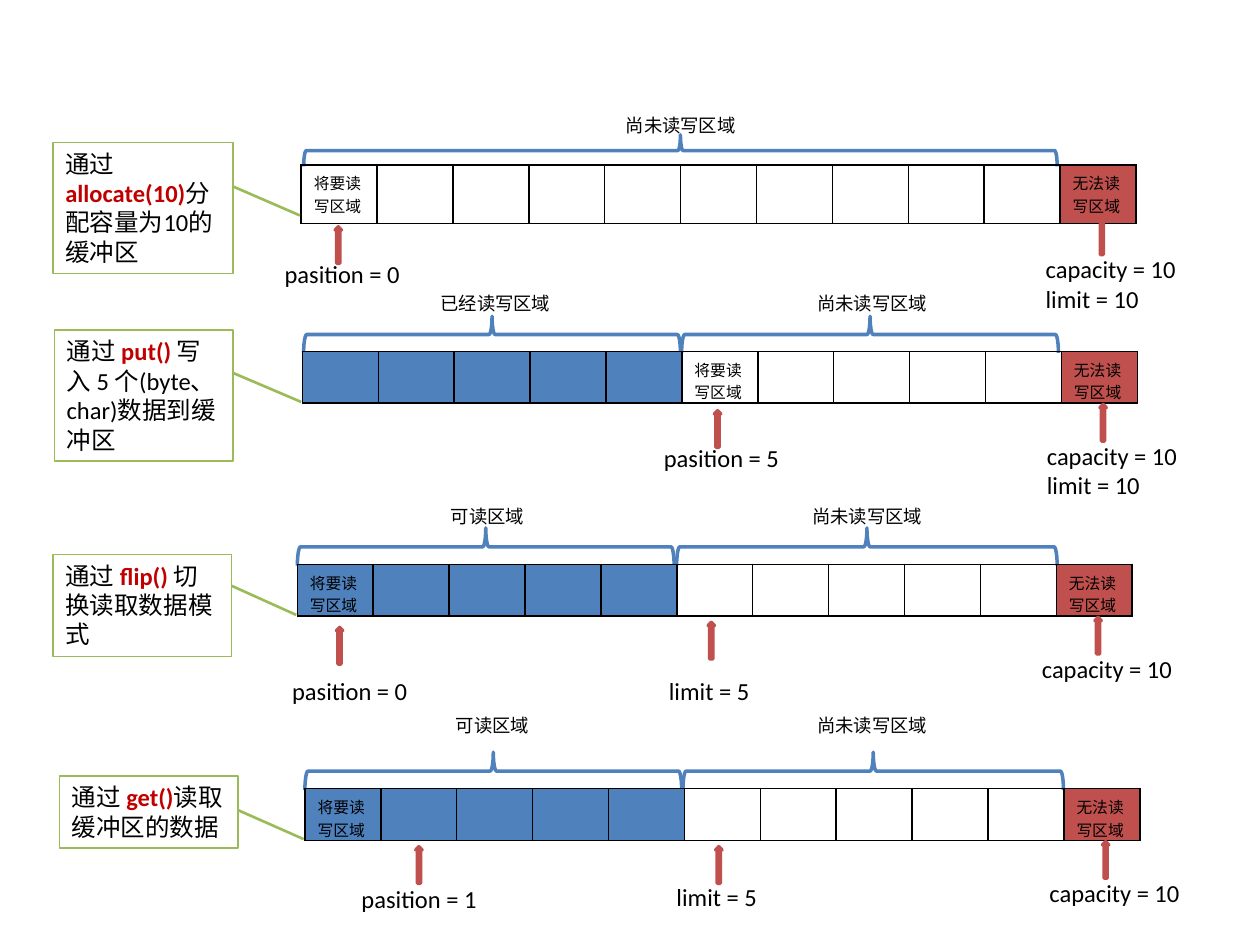
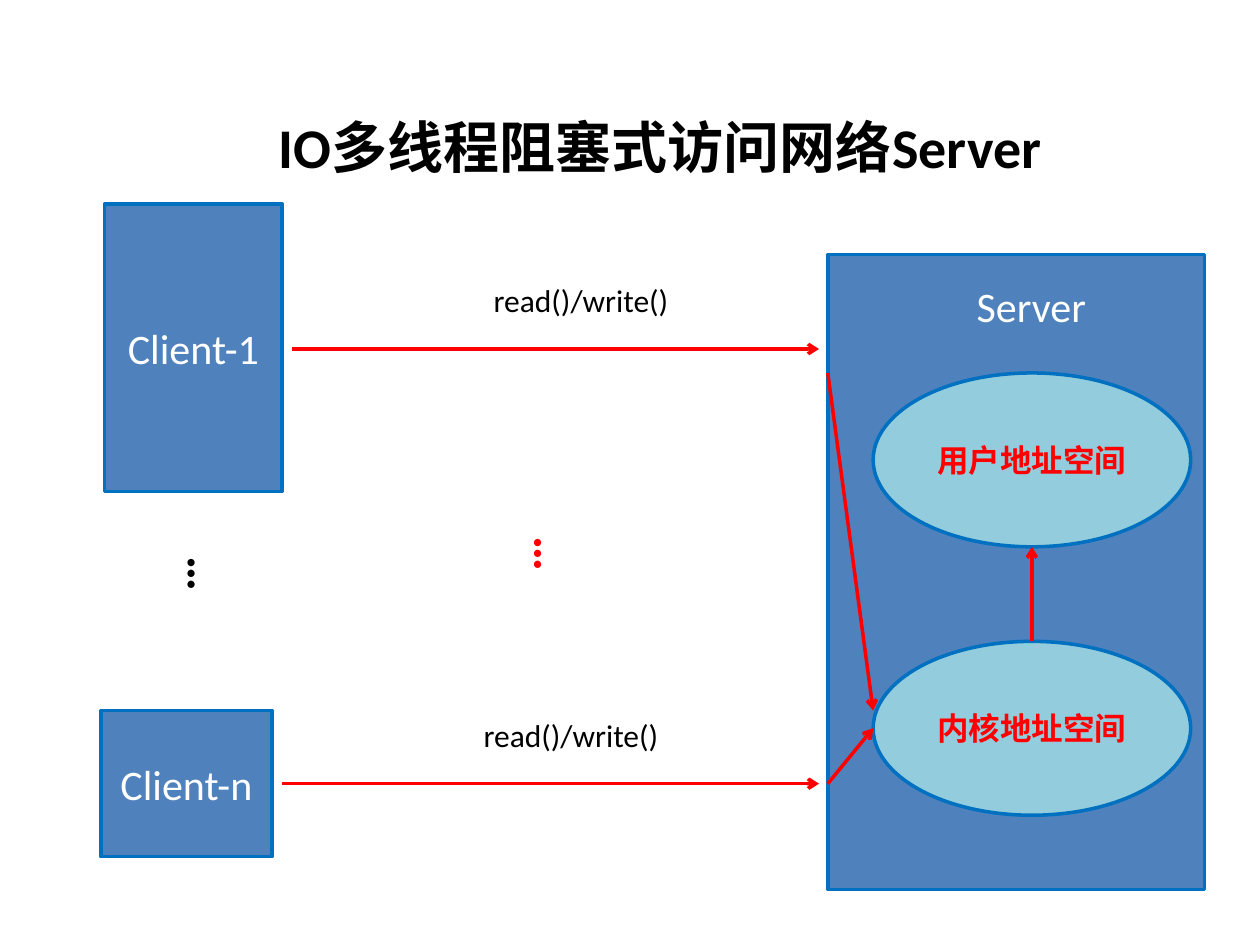
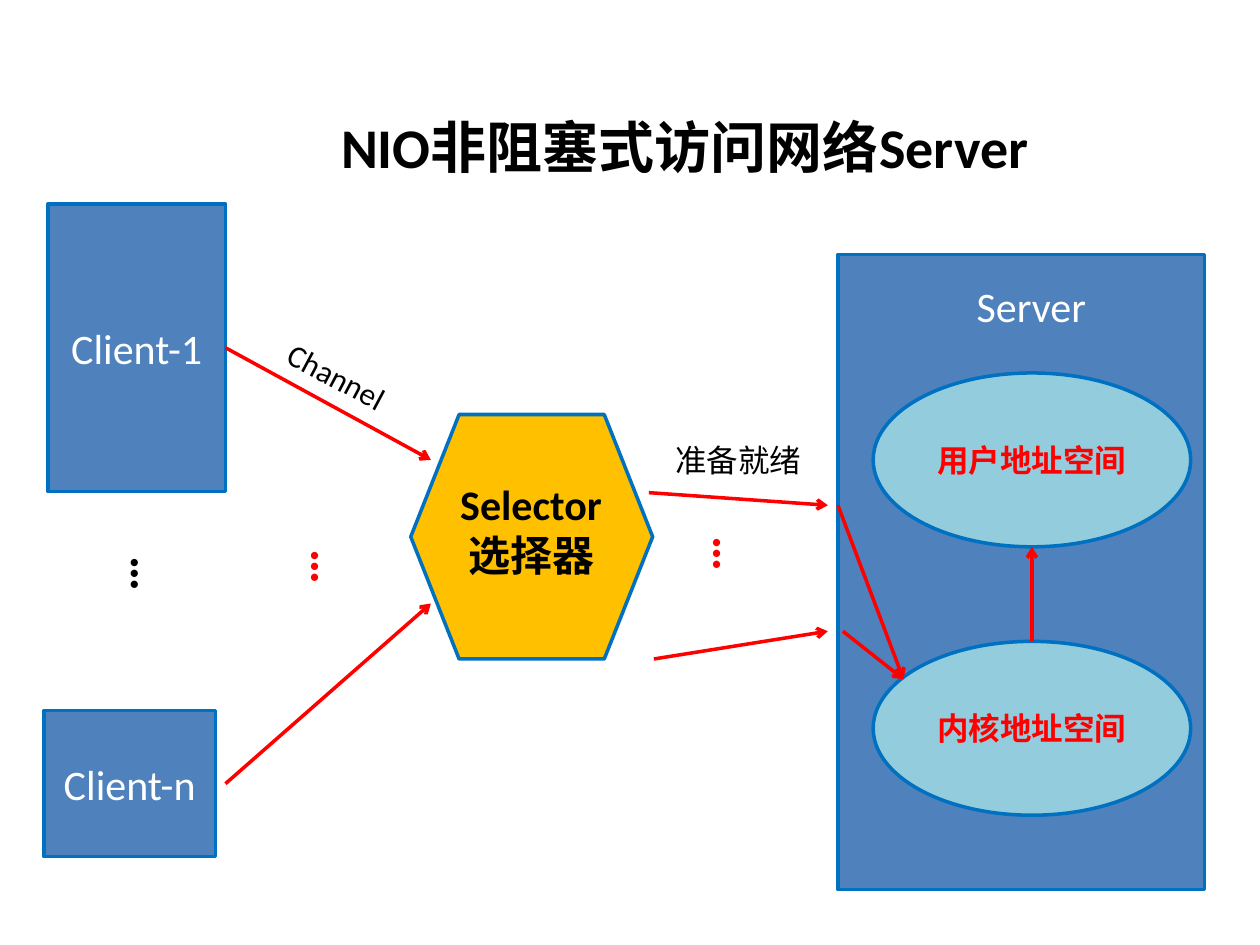
from pptx import Presentation
from pptx.dml.color import RGBColor
from pptx.enum.shapes import MSO_CONNECTOR, MSO_SHAPE
from pptx.enum.text import MSO_ANCHOR, PP_ALIGN
from pptx.oxml.ns import qn
from pptx.util import Inches, Pt
from lxml.etree import SubElement

COLORS = {
    "black": "000000", "white": "FFFFFF", "blue": "4F81BD", "outline": "0070C0",
    "red": "C0504D", "green": "9BBB59", "keyword": "C00000", "signal": "FF0000",
    "space": "93CDDD", "selector": "FFC000",
}
RGB = {name: RGBColor.from_string(value) for name, value in COLORS.items()}
CJK_FONT = "Noto Sans CJK SC"
STYLES = {
    "cell": {"size": Pt(9), "name": "Calibri"},
    "region": {"size": Pt(10.5), "name": "Calibri"},
    "note": {"size": Pt(14), "name": "Calibri"},
    "keyword": {"size": Pt(14), "name": "Calibri", "bold": True},
    "call": {"size": Pt(18), "name": "Calibri"},
    "ready": {"size": Pt(18), "name": CJK_FONT},
    "space": {"size": Pt(18), "name": CJK_FONT, "bold": True},
    "node": {"size": Pt(24), "name": "Calibri"},
    "selector": {"size": Pt(24), "name": "Calibri", "bold": True},
    "dots": {"size": Pt(28), "name": "Calibri", "bold": True},
    "title": {"size": Pt(32), "name": "Calibri", "bold": True},
}


def add_box(slide, kind, box, paragraphs=(), fill=None, line=None, width=2,
            align=PP_ALIGN.LEFT, anchor=MSO_ANCHOR.TOP, rotation=0, vertical=False):
    position = [Inches(value) for value in box]
    if kind is None:
        shape = slide.shapes.add_textbox(*position)
    else:
        shape = slide.shapes.add_shape(kind, *position)
        shape.shadow.inherit = False
        if fill:
            shape.fill.solid()
            shape.fill.fore_color.rgb = RGB[fill]
        else:
            shape.fill.background()
        shape.line.color.rgb = RGB[line]
        shape.line.width = Pt(width)
    shape.rotation = rotation
    frame = shape.text_frame
    frame.word_wrap = True
    frame.vertical_anchor = anchor
    if vertical:
        frame._txBody.bodyPr.set("vert", "eaVert")
    for index, runs in enumerate(paragraphs):
        paragraph = frame.add_paragraph() if index else frame.paragraphs[0]
        paragraph.alignment = align
        for text, style, color in runs:
            run = paragraph.add_run()
            run.text = text
            for name, value in STYLES[style].items():
                setattr(run.font, name, value)
            run.font.color.rgb = RGB[color]
            SubElement(run.font._element, qn("a:ea"), typeface=CJK_FONT)
    return shape


def add_line(slide, start, end, color, width=2, arrow=True):
    points = [Inches(value) for value in (*start, *end)]
    connector = slide.shapes.add_connector(MSO_CONNECTOR.STRAIGHT, *points)
    connector.line.color.rgb = RGB[color]
    connector.line.width = Pt(width)
    if arrow:
        SubElement(connector.line._get_or_add_ln(), qn("a:tailEnd"), type="arrow")
    SubElement(connector._element.spPr, qn("a:effectLst"))
    return connector


presentation = Presentation()
presentation.slide_width = Inches(10)
presentation.slide_height = Inches(7.5)
blank = presentation.slide_layouts[6]

UNREAD = "尚未读写区域"
BUFFERS = [
    {"left": 2.39, "top": 1.31, "filled": 0, "next": 0, "margin": 0.05, "depth": 0.25,
     "braces": [(2.41, 5.98)], "regions": [(4.87, 0.86, UNREAD)],
     "step": (0.42, 1.13, 1.43, 1.04), "call": "allocate(10)", "action": "分配容量为10的缓冲区",
     "end": ["capacity = 10", "limit = 10"],
     "pointers": [(2.54, 1.92, 2.16, 2.01, "pasition = 0")]},
    {"left": 2.4, "top": 2.79, "filled": 5, "next": 5, "margin": 0, "depth": 0.29,
     "braces": [(2.41, 2.99), (5.41, 2.99)],
     "regions": [(3.4, 2.27, "已经读写区域"), (6.39, 2.27, UNREAD)],
     "step": (0.43, 2.62, 1.42, 1.04), "call": "put() ", "action": "写入 5 个(byte、char)数据到缓冲区",
     "end": ["capacity = 10", "limit = 10"],
     "pointers": [(5.55, 3.38, 5.17, 3.47, "pasition = 5")]},
    {"left": 2.36, "top": 4.48, "filled": 5, "next": 0, "margin": 0, "depth": 0.3,
     "braces": [(2.36, 2.99), (5.37, 3.02)],
     "regions": [(3.48, 3.96, "可读区域"), (6.35, 3.96, UNREAD)],
     "step": (0.42, 4.4, 1.42, 0.81), "call": "flip() ", "action": "切换读取数据模式",
     "end": ["capacity = 10"],
     "pointers": [(2.55, 5.1, 2.22, 5.32, "pasition = 0"), (5.5, 5.06, 5.21, 5.32, "limit = 5")]},
    {"left": 2.42, "top": 6.26, "filled": 5, "next": 0, "margin": 0, "depth": 0.3,
     "braces": [(2.42, 2.99), (5.42, 3.02)],
     "regions": [(3.52, 5.62, "可读区域"), (6.39, 5.62, UNREAD)],
     "step": (0.47, 6.16, 1.42, 0.57), "call": "get()", "action": "读取缓冲区的数据",
     "end": ["capacity = 10"],
     "pointers": [(3.18, 6.84, 2.77, 6.97, "pasition = 1"), (5.56, 6.84, 5.27, 6.95, "limit = 5")]},
]
CELLS = 11
TABLE_WIDTH, ROW_HEIGHT = 6.63, 0.41

slide = presentation.slides.add_slide(blank)
for buffer in BUFFERS:
    left, top, depth = buffer["left"], buffer["top"], buffer["depth"]
    for start, span in buffer["braces"]:
        brace_box = (start + (span - depth) / 2, top + 0.01 - (depth + span) / 2, depth, span)
        add_box(slide, MSO_SHAPE.LEFT_BRACE, brace_box, line="blue", rotation=90)

    table = slide.shapes.add_table(1, CELLS, Inches(left), Inches(top),
                                   Inches(TABLE_WIDTH), Inches(ROW_HEIGHT)).table
    table.first_row = table.horz_banding = False
    labels = {buffer["next"]: "将要读写区域", CELLS - 1: "无法读写区域"}
    for index, cell in enumerate(table.rows[0].cells):
        table.columns[index].width = Inches(TABLE_WIDTH / CELLS)
        cell.margin_bottom = Inches(buffer["margin"])
        properties = cell._tc.get_or_add_tcPr()
        for side in ("a:lnL", "a:lnR", "a:lnT", "a:lnB"):
            border = SubElement(properties, qn(side), w=str(Pt(1)))
            border_fill = SubElement(border, qn("a:solidFill"))
            SubElement(border_fill, qn("a:srgbClr"), val=COLORS["black"])
        if index == CELLS - 1 or index < buffer["filled"]:
            cell.fill.solid()
            cell.fill.fore_color.rgb = RGB["red" if index == CELLS - 1 else "blue"]
        else:
            cell.fill.background()
        if index in labels:
            run = cell.text_frame.paragraphs[0].add_run()
            run.text = labels[index]
            for name, value in STYLES["cell"].items():
                setattr(run.font, name, value)
            run.font.color.rgb = RGB["black"]

    for x, y, text in buffer["regions"]:
        add_box(slide, None, (x, y, 1.34, 0.28), [[(text, "region", "black")]])
    end_pointer = (left + 6.21, top + 0.54, left + 5.81, top + 0.66, *buffer["end"])
    for arrow_x, arrow_y, x, y, *lines in [end_pointer, *buffer["pointers"]]:
        add_box(slide, MSO_SHAPE.RIGHT_ARROW, (arrow_x, arrow_y, 0.29, 0.05),
                line="red", rotation=270)
        add_box(slide, None, (x, y, 1.42, 0.11 + 0.23 * len(lines)),
                [[(text, "note", "black")] for text in lines])

    step = buffer["step"]
    add_box(slide, MSO_SHAPE.RECTANGLE, step,
            [[("通过 ", "note", "black"), (buffer["call"], "keyword", "keyword"),
              (buffer["action"], "note", "black")]], line="green", width=0.75)
    add_line(slide, (left - 0.01, top + 0.4), (step[0] + step[2], top + 0.17),
             "green", 1.5, arrow=False)

SERVERS = [
    {"title": "IO多线程阻塞式访问网络Server", "title_left": 1.77, "title_width": 6.94,
     "client_left": 0.83, "server_left": 6.57, "request_dots": [(4.01, 4.16)],
     "arrows": [((2.32, 2.77), (6.5, 2.77)), ((2.24, 6.22), (6.5, 6.22)),
                ((6.57, 2.96), (6.93, 5.64)), ((6.57, 6.22), (6.93, 5.78))],
     "labels": [((3.82, 2.18, 1.73, 0.4), "read()/write()", "call", 0),
                ((3.74, 5.63, 1.73, 0.4), "read()/write()", "call", 0)]},
    {"title": "NIO非阻塞式访问网络Server", "title_left": 2.24, "title_width": 6.39,
     "client_left": 0.38, "server_left": 6.65, "request_dots": [(2.24, 4.26), (5.43, 4.16)],
     "arrows": [((1.79, 6.22), (3.42, 4.79)), ((5.15, 3.91), (6.57, 4.01)),
                ((5.19, 5.23), (6.57, 5.01)), ((6.65, 4.01), (7.17, 5.39)),
                ((6.69, 5.01), (7.17, 5.39))],
     "labels": [((5.26, 3.45, 1.39, 0.4), "准备就绪", "ready", 0),
                ((2.15, 2.82, 1.18, 0.4), "Channel", "call", 28)]},
]
CENTER = {"align": PP_ALIGN.CENTER}
NODE = {**CENTER, "anchor": MSO_ANCHOR.MIDDLE, "line": "outline"}

for server in SERVERS:
    slide = presentation.slides.add_slide(blank)
    client_left = server["client_left"]
    add_box(slide, None, (server["title_left"], 0.84, server["title_width"], 0.64),
            [[(server["title"], "title", "black")]], **CENTER)
    first_client = add_box(slide, MSO_SHAPE.RECTANGLE, (client_left, 1.62, 1.41, 2.28),
                           [[("Client-1", "node", "white")]], fill="blue", **NODE)
    add_box(slide, MSO_SHAPE.RECTANGLE, (client_left - 0.03, 5.64, 1.36, 1.16),
            [[("Client-n", "node", "white")]], fill="blue", **NODE)
    add_box(slide, MSO_SHAPE.RECTANGLE,
            (server["server_left"], 2.02, 9.56 - server["server_left"], 5.04),
            fill="blue", line="outline")
    add_box(slide, None, (7.36, 2.18, 1.65, 0.5), [[("Server", "node", "white")]], **CENTER)
    for y, text in [(2.96, "用户地址空间"), (5.09, "内核地址空间")]:
        add_box(slide, MSO_SHAPE.OVAL, (6.93, y, 2.52, 1.38),
                [[(text, "space", "signal")]], fill="space", **NODE)

    if server["title"].startswith("NIO"):
        add_box(slide, MSO_SHAPE.FLOWCHART_PREPARATION, (3.26, 3.29, 1.92, 1.94),
                fill="selector", line="outline")
        add_box(slide, None, (3.35, 3.75, 1.73, 0.91),
                [[(text, "selector", "black")] for text in ("Selector", "选择器")], **CENTER)
        channel = add_line(slide, (1.79, 2.76), (3.42, 3.65), "signal")
        channel.begin_connect(first_client, 3)

    for start, end in [*server["arrows"], ((8.19, 5.09), (8.19, 4.34))]:
        add_line(slide, start, end, "signal")
    for box, text, style, rotation in server["labels"]:
        add_box(slide, None, box, [[(text, style, "black")]], rotation=rotation)
    dots = [(client_left + 0.43, 4.32, "black")]
    dots += [(x, y, "signal") for x, y in server["request_dots"]]
    for x, y, color in dots:
        add_box(slide, None, (x, y, 0.67, 0.75), [[("…", "dots", color)]],
                vertical=True, **CENTER)

presentation.save("out.pptx")
